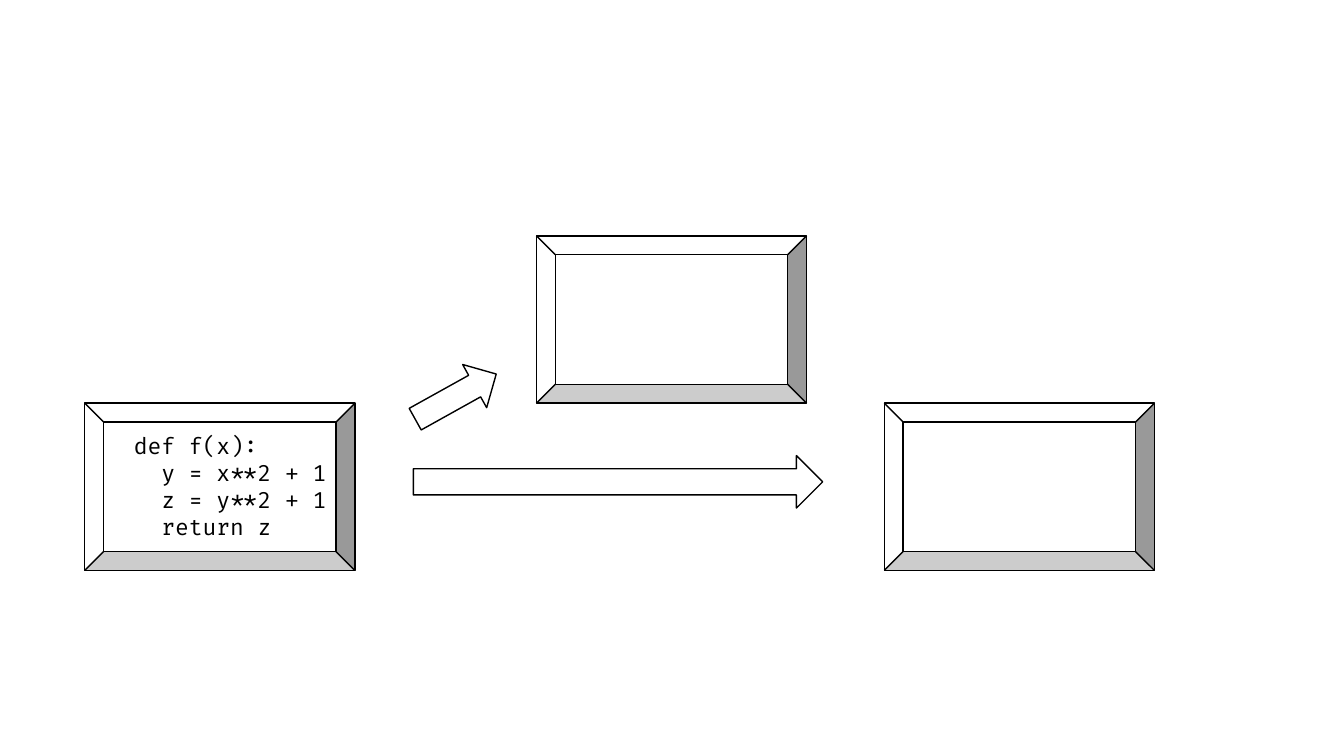
from pptx import Presentation
from pptx.dml.color import RGBColor
from pptx.enum.shapes import MSO_SHAPE
from pptx.enum.text import MSO_AUTO_SIZE
from pptx.util import Pt

SCALE = 9144  # EMU in one px, at 100 px to the inch
BEVEL = MSO_SHAPE.BEVEL
ARROW = MSO_SHAPE.RIGHT_ARROW
FIT = MSO_AUTO_SIZE.SHAPE_TO_FIT_TEXT
BLANK = 6

CODE = """def f(x):
  y = x**2 + 1
  z = y**2 + 1
  return z"""


def px(*sizes):
    return [size * SCALE for size in sizes]


def color(code):
    return RGBColor.from_string(code)


class Board:
    """Holds the style and the current slide."""
    font = "Fira Code"
    ink = "000000"
    paper = "FFFFFF"
    frame = (268, 166)

    def __init__(self, slide):
        self.shapes = slide.shapes

    def shape(self, kind, *box):
        shape = self.shapes.add_shape(kind, *px(*box))
        shape.shadow.inherit = False
        shape.fill.solid()
        shape.fill.fore_color.rgb = color(self.paper)
        shape.line.color.rgb = color(self.ink)
        shape.line.width = Pt(1)
        return shape

    def bevel(self, left, top):
        self.shape(BEVEL, left, top, *self.frame).adjustments[0] = 0.113

    def arrow(self, *box, turn=0):
        self.shape(ARROW, *box).rotation = turn

    def text(self, words, *box, size=16, ink=ink):
        """Adds a text box with one paragraph for each line of words."""
        frame = self.shapes.add_textbox(*px(*box)).text_frame
        frame.word_wrap = True
        frame.auto_size = FIT
        frame.text = words
        for para in frame.paragraphs:
            font = para.runs[0].font
            font.name = self.font
            font.size = Pt(size)
            font.color.rgb = color(ink)


def main():
    deck = Presentation()
    deck.slide_width, deck.slide_height = px(1333, 750)
    board = Board(deck.slides.add_slide(deck.slide_layouts[BLANK]))

    for left, top in ((84, 400), (532, 234), (877, 400)):
        board.bevel(left, top)
    board.text(CODE, 123, 424, 215, 118)
    board.arrow(406, 369, 92, 49, turn=330.9)
    board.arrow(410, 452, 406, 52)

    deck.save("out.pptx")


if __name__ == "__main__":
    main()
